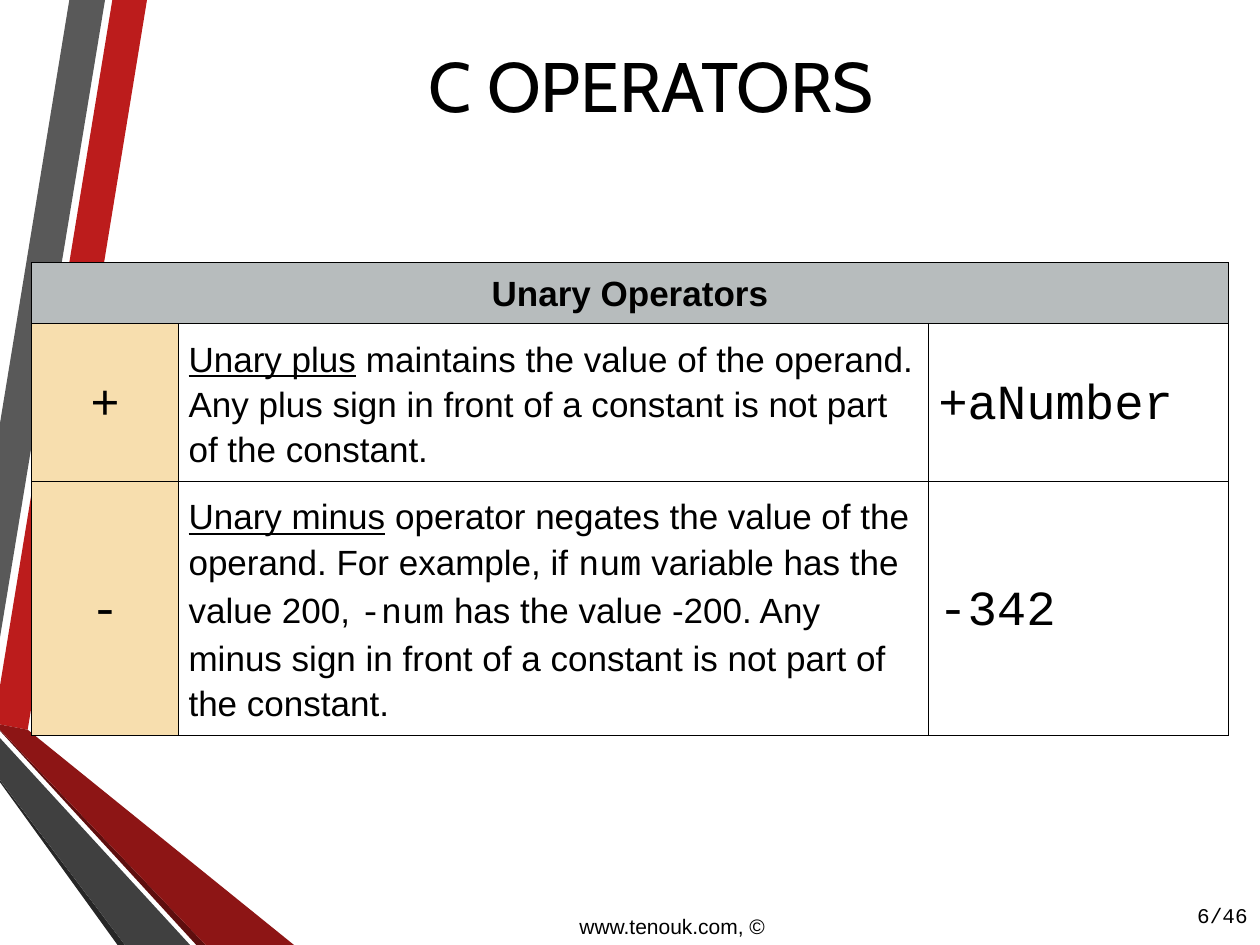
from dataclasses import dataclass

from lxml.etree import fromstring
from pptx import Presentation
from pptx.dml.color import RGBColor
from pptx.enum.text import MSO_ANCHOR, MSO_AUTO_SIZE, PP_ALIGN
from pptx.oxml.ns import nsdecls
from pptx.util import Inches, Pt


@dataclass(frozen=True)
class Theme:
    black: str = "000000"
    red: str = "BC1C1C"
    dark_red: str = "8D1515"
    red_shadow: str = "5E0E0E"
    gray: str = "595959"
    dark_gray: str = "404040"
    gray_shadow: str = "262626"
    header_fill: str = "B7BCBD"
    symbol_fill: str = "F7DEAE"
    heading_font: str = "Cabin"
    body_font: str = "Arial"
    code_font: str = "Courier New"
    title_size: int = 40
    code_size: int = 28
    body_size: int = 20
    footer_size: int = 12
    border_width: float = 0.45


theme = Theme()

presentation = Presentation()
presentation.slide_width = Inches(10)
presentation.slide_height = Inches(7.5)

# The slide is a grid of 120 columns by 90 rows
UNIT = presentation.slide_width / 120


def grid(*cells):
    return [round(cell * UNIT) for cell in cells]


def write_text(paragraph, text, *, font=theme.body_font, size=theme.body_size,
               bold=False, underline=False, align=PP_ALIGN.LEFT, spacing=None):
    paragraph.alignment = align
    paragraph.line_spacing = spacing
    run = paragraph.add_run()
    run.text = text
    run.font.name = font
    run.font.size = Pt(size)
    run.font.bold = bold
    run.font.underline = underline
    run.font.color.rgb = RGBColor.from_string(theme.black)


slide = presentation.slides.add_slide(presentation.slide_layouts[5])

# Decorative bands on the left edge
bands = [
    (theme.red, [(0, 65.3), (0, 69), (2.64, 69.5), (14, 0), (10.7, 0)]),
    (theme.gray, [(10, 0), (6.6, 0), (0, 40.3), (0, 60.7)]),
    (theme.gray_shadow, [(0, 74.3), (0, 74.5), (11.2, 90), (11.9, 90)]),
    (theme.red_shadow, [(0, 69.5), (0, 69.6), (18.7, 90), (19.6, 90)]),
    (theme.dark_red, [(0, 69.5), (19.6, 90), (28, 90), (2.64, 69.5), (0, 69)]),
    (theme.dark_gray, [(0, 74.3), (11.9, 90), (18.1, 90), (0, 70.3)]),
]
for color, corners in bands:
    start, *others = [grid(*corner) for corner in corners]
    builder = slide.shapes.build_freeform(*start)
    builder.add_line_segments(others, close=True)
    band = builder.convert_to_shape()
    band.shadow.inherit = False
    band.fill.solid()
    band.fill.fore_color.rgb = RGBColor.from_string(color)
    band.line.fill.background()

# Operator table: each cell is a list of text pieces with their format
code = {"font": theme.code_font}
large_code = {"font": theme.code_font, "size": theme.code_size}
centered_code = {**large_code, "align": PP_ALIGN.CENTER}
cell_texts = [
    [[("Unary Operators", {"bold": True, "align": PP_ALIGN.CENTER})], [], []],
    [
        [("+", centered_code)],
        [("Unary plus", {"underline": True}),
         (" maintains the value of the operand. Any plus sign in front of "
          "a constant is not part of the constant.", {})],
        [("+aNumber", large_code)],
    ],
    [
        [("-", centered_code)],
        [("Unary minus", {"underline": True}),
         (" operator negates the value of the operand. For example, if ", {}),
         ("num", code),
         (" variable has the value 200, ", {}),
         ("-num", code),
         (" has the value -200. Any minus sign in front of a constant is "
          "not part of the constant.", {})],
        [("-342", large_code)],
    ],
]
column_widths = grid(14, 71.4, 28.6)
row_heights = grid(4.6, 13.8, 23)

table = slide.shapes.add_table(
    3, 3, *grid(3, 25), sum(column_widths), sum(row_heights)).table
table.first_row = False
table.horz_banding = False
for column, width in zip(table.columns, column_widths):
    column.width = width
for row, height in zip(table.rows, row_heights):
    row.height = height
table.cell(0, 0).merge(table.cell(0, 2))

for row_index, row_texts in enumerate(cell_texts):
    for column_index, pieces in enumerate(row_texts):
        cell = table.cell(row_index, column_index)
        cell.margin_left = cell.margin_right = Inches(0.08)
        cell.margin_top = cell.margin_bottom = Inches(0.05)
        cell.vertical_anchor = MSO_ANCHOR.MIDDLE if row_index else MSO_ANCHOR.TOP
        for text, text_format in pieces:
            write_text(cell.text_frame.paragraphs[0], text,
                       spacing=1.15, **text_format)

        if row_index == 0 or column_index == 0:
            fill = theme.symbol_fill if row_index else theme.header_fill
            cell.fill.solid()
            cell.fill.fore_color.rgb = RGBColor.from_string(fill)
        else:
            cell.fill.background()

        # Borders come before the fill in the cell properties
        properties = cell._tc.get_or_add_tcPr()
        for position, side in enumerate("LRTB"):
            properties.insert(position, fromstring(
                f'<a:ln{side} {nsdecls("a")} w="{Pt(theme.border_width)}">'
                f'<a:solidFill><a:srgbClr val="{theme.black}"/></a:solidFill>'
                f'</a:ln{side}>'))

# Title
title = slide.shapes.title
title.left, title.top, title.width, title.height = grid(8, 3, 108, 10.1)
title.text_frame.vertical_anchor = MSO_ANCHOR.MIDDLE
title.text_frame.auto_size = MSO_AUTO_SIZE.SHAPE_TO_FIT_TEXT
write_text(title.text_frame.paragraphs[0], "C OPERATORS", align=PP_ALIGN.CENTER,
           font=theme.heading_font, size=theme.title_size)

# Page number and web address
footers = [
    ("6/46", (110, 84.8, 10, 4.8), MSO_ANCHOR.MIDDLE,
     {"font": theme.code_font, "align": PP_ALIGN.RIGHT}),
    ("www.tenouk.com, ©", (54, 86.4, 21, 3.6), MSO_ANCHOR.TOP, {}),
]
for text, place, anchor, text_format in footers:
    frame = slide.shapes.add_textbox(*grid(*place)).text_frame
    frame.word_wrap = True
    frame.vertical_anchor = anchor
    write_text(frame.paragraphs[0], text, size=theme.footer_size, **text_format)

presentation.save("out.pptx")
